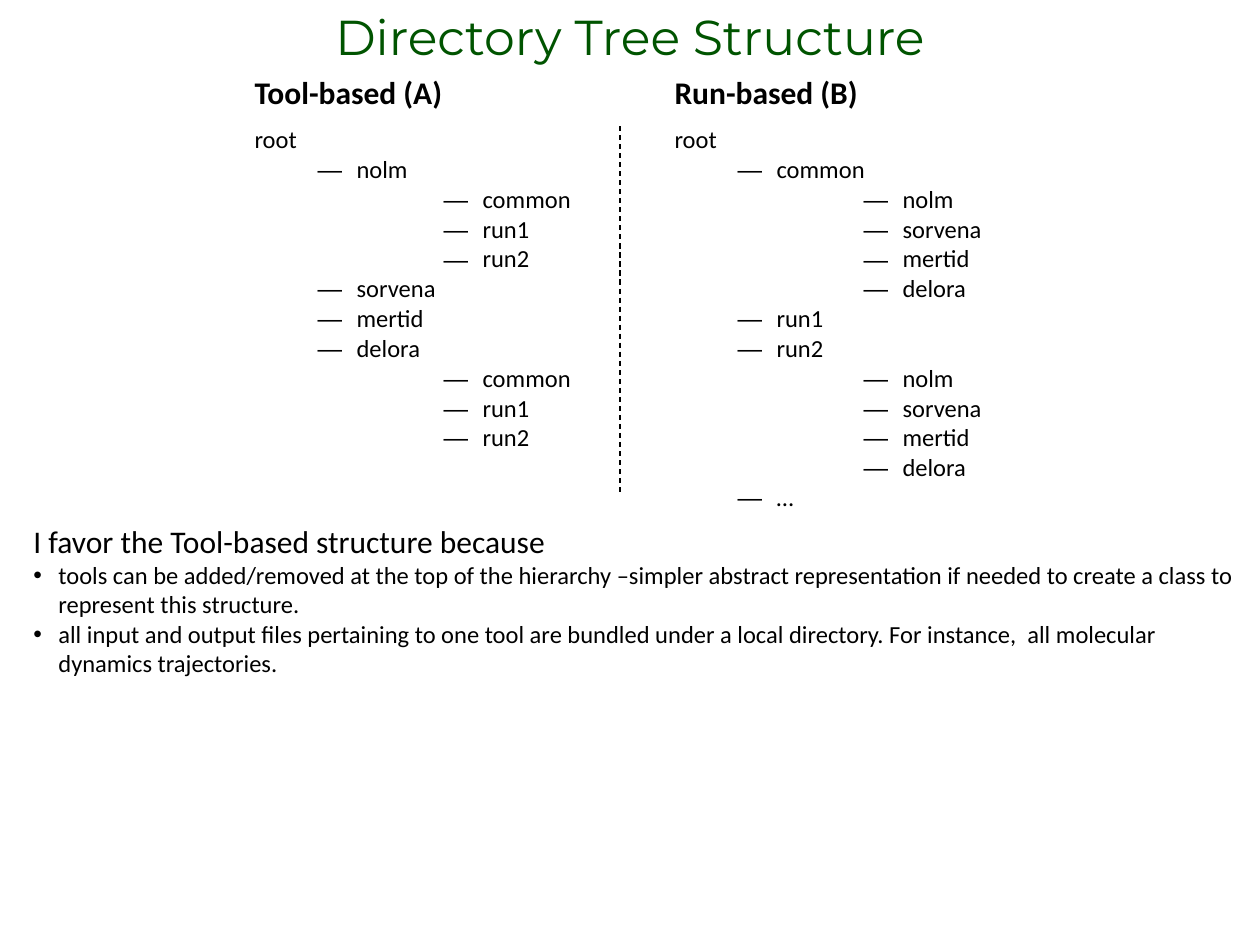
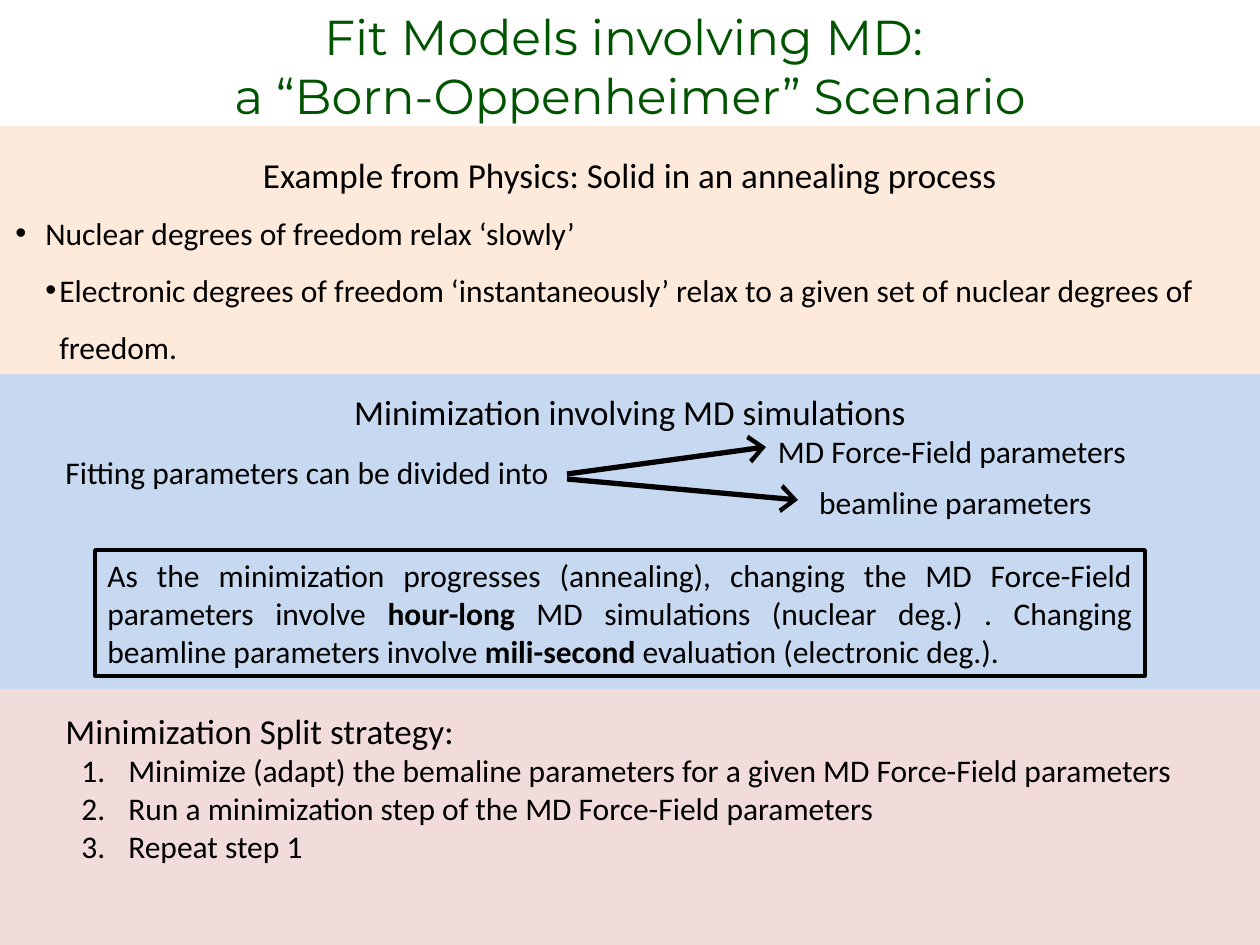
"""Build two slides on directory trees and split minimization of fit models."""
from lxml import etree
from pptx import Presentation
from pptx.dml.color import RGBColor
from pptx.enum.dml import MSO_LINE
from pptx.enum.shapes import MSO_CONNECTOR, MSO_SHAPE
from pptx.enum.text import MSO_ANCHOR, MSO_AUTO_SIZE, PP_ALIGN
from pptx.oxml.ns import qn
from pptx.util import Pt

EMU_PER_PX = 914400 / 126
SLIDE_W, SLIDE_H = 1260, 945
COLORS = {
    "title": "005400",
    "text": "000000",
    "physics": "FDEADA",
    "simulation": "C6D9F1",
    "strategy": "F2DCDB",
}
TITLE_FONT, BODY_FONT = "Montserrat", "Calibri"
TITLE_ONLY = 5
PLAIN_TABLE_STYLE = "{2D5ABB26-0587-4C30-8999-92F81FD0307C}"
LEFT, CENTER, JUSTIFY = PP_ALIGN.LEFT, PP_ALIGN.CENTER, PP_ALIGN.JUSTIFY
TOP, NO_AUTOSIZE = MSO_ANCHOR.TOP, MSO_AUTO_SIZE.NONE
RECTANGLE, STRAIGHT, DASH = MSO_SHAPE.RECTANGLE, MSO_CONNECTOR.STRAIGHT, MSO_LINE.DASH

TOOLS = ["nolm", "sorvena", "mertid", "delora"]
RUNS = ["common", "run1", "run2"]
TOOL_TREE = list(zip(TOOLS, [RUNS, [], [], RUNS]))
RUN_TREE = [("common", TOOLS), ("run1", []), ("run2", TOOLS), ("…", [])]


def px(length):
    """Turn a length in px into EMU."""
    return round(length * EMU_PER_PX)


def rgb(name):
    """Look up a named colour."""
    return RGBColor.from_string(COLORS[name])


def write(frame, text, size=18, font=BODY_FONT, color="text", bold=False,
          align=LEFT, level=0, margin=0, hanging=0, bullet=None, spacing=None):
    """Add a paragraph to a frame; text between ** marks is bold."""
    paragraph = frame.paragraphs[-1]
    if paragraph.runs:
        paragraph = frame.add_paragraph()
    paragraph.alignment = align
    paragraph.level = level
    if spacing:
        paragraph.line_spacing = spacing
    for position, part in enumerate(text.split("**")):
        run = paragraph.add_run()
        run.text = part
        run.font.size = Pt(size)
        run.font.name = font
        run.font.bold = bold or position % 2 == 1
        run.font.color.rgb = rgb(color)
    if bullet:
        properties = paragraph._p.get_or_add_pPr()
        properties.set("marL", str(px(margin)))
        properties.set("indent", str(-px(hanging)))
        if bullet == "1.":
            etree.SubElement(properties, qn("a:buAutoNum"), type="arabicPeriod")
        else:
            etree.SubElement(properties, qn("a:buFont"), typeface="Arial")
            etree.SubElement(properties, qn("a:buChar"), char=bullet)


def add_titled_slide(deck, lines, height):
    """Add a slide with its title across the top."""
    slide = deck.slides.add_slide(deck.slide_layouts[TITLE_ONLY])
    title = slide.shapes.title
    title.left, title.top, title.width, title.height = 0, 0, px(SLIDE_W), px(height)
    frame = title.text_frame
    frame.word_wrap, frame.auto_size, frame.vertical_anchor = True, NO_AUTOSIZE, TOP
    for line in lines:
        write(frame, line, size=28, font=TITLE_FONT, color="title", align=CENTER)
    return slide


def add_text_box(slide, left, top, width, height, wrap=True):
    """Add an empty text box and return its frame."""
    frame = slide.shapes.add_textbox(px(left), px(top), px(width), px(height)).text_frame
    frame.word_wrap = wrap
    return frame


def add_rectangle(slide, left, top, width, height, fill=None, line_width=None):
    """Add a filled or outlined rectangle and return its frame."""
    rectangle = slide.shapes.add_shape(RECTANGLE, px(left), px(top), px(width), px(height))
    rectangle.shadow.inherit = False
    if fill:
        rectangle.fill.solid()
        rectangle.fill.fore_color.rgb = rgb(fill)
    else:
        rectangle.fill.background()
    if line_width:
        rectangle.line.color.rgb = rgb("text")
        rectangle.line.width = Pt(line_width)
    else:
        rectangle.line.fill.background()
    frame = rectangle.text_frame
    frame.word_wrap, frame.vertical_anchor = True, TOP
    return frame


def add_line(slide, start, end, width, dash=None, arrow=False):
    """Add a straight line, dashed or with an arrowhead at its end."""
    connector = slide.shapes.add_connector(STRAIGHT, *map(px, start + end))
    connector.line.color.rgb = rgb("text")
    connector.line.width = Pt(width)
    if dash:
        connector.line.dash_style = dash
    if arrow:
        etree.SubElement(connector.line._get_or_add_ln(), qn("a:tailEnd"),
                         type="arrow", w="lg", len="med")
    etree.SubElement(connector._element.spPr, qn("a:effectLst"))


def add_plain_table(slide, left, top, column_widths, row_heights):
    """Add a table without fills or borders."""
    table = slide.shapes.add_table(
        len(row_heights), len(column_widths), px(left), px(top),
        px(sum(column_widths)), px(sum(row_heights))).table
    table.first_row = table.horz_banding = False
    table._tbl.tblPr.find(qn("a:tableStyleId")).text = PLAIN_TABLE_STYLE
    for column, width in zip(table.columns, column_widths):
        column.width = px(width)
    for row, height in zip(table.rows, row_heights):
        row.height = px(height)
    for cell in table.iter_cells():
        cell.fill.background()
    return table


def write_tree(frame, branches):
    """Write a directory tree of two levels below root."""
    entry = {"size": 14, "hanging": 39, "bullet": "―"}
    write(frame, "root", size=14)
    for branch, leaves in branches:
        write(frame, branch, level=1, margin=102, **entry)
        for leaf in leaves:
            write(frame, leaf, level=3, margin=228, **entry)


def build_directory_slide(deck):
    """Compare the tool-based and run-based directory trees."""
    slide = add_titled_slide(deck, ["Directory Tree Structure"], 72)
    trees = add_plain_table(slide, 242, 68, [420, 420], [51, 389])
    layouts = [("Tool-based (A)", TOOL_TREE), ("Run-based (B)", RUN_TREE)]
    for column, (heading, branches) in enumerate(layouts):
        write(trees.cell(0, column).text_frame, heading, bold=True)
        write_tree(trees.cell(1, column).text_frame, branches)
    add_line(slide, (620, 126), (620, 494), 0.75, dash=DASH)

    preference = add_text_box(slide, 21, 516, 1239, 170)
    write(preference, "I favor the Tool-based structure because")
    for reason in (
        "tools can be added/removed at the top of the hierarchy –simpler abstract "
        "representation if needed to create a class to represent this structure.",
        "all input and output files pertaining to one tool are bundled under a local "
        "directory. For instance,  all molecular dynamics trajectories.",
    ):
        write(preference, reason, size=14, margin=25, hanging=25, bullet="•")


def build_scenario_slide(deck):
    """Show the split of slow and fast parameters in a minimization."""
    slide = add_titled_slide(
        deck, ["Fit Models involving MD: ", "a “Born-Oppenheimer” Scenario"], 131)
    add_rectangle(slide, 0, 683, SLIDE_W, 262, fill="strategy")
    add_rectangle(slide, 0, 374, SLIDE_W, 315, fill="simulation")

    physics = add_rectangle(slide, 0, 126, SLIDE_W, 248, fill="physics")
    write(physics, "Example from Physics: Solid in an annealing process",
          size=20, align=CENTER, spacing=1.5)
    write(physics, "Nuclear degrees of freedom relax ‘slowly’",
          margin=33, hanging=30, bullet="•", spacing=1.5)
    write(physics, "Electronic degrees of freedom ‘instantaneously’ relax to a given set "
          "of nuclear degrees of freedom.", margin=47, hanging=14, bullet="•", spacing=1.5)

    heading = add_text_box(slide, 0, 384, SLIDE_W, 55)
    write(heading, "Minimization involving MD simulations", size=20, align=CENTER)
    kinds = add_plain_table(slide, 651, 427, [609], [51, 51])
    for row, kind in enumerate(["MD Force-Field parameters ", "beamline parameters"]):
        write(kinds.cell(row, 0).text_frame, kind, align=CENTER)
    division = add_text_box(slide, 53, 447, 523, 51, wrap=False)
    write(division, "Fitting parameters can be divided into")
    for start, end in [((567, 474), (766, 447)), ((567, 479), (798, 500))]:
        add_line(slide, start, end, 3, arrow=True)

    timing = add_rectangle(slide, 95, 550, 1050, 126, line_width=2)
    write(timing, "As the minimization progresses (annealing), changing the MD Force-Field "
          "parameters involve **hour-long** MD simulations (nuclear deg.) . Changing "
          "beamline parameters involve **mili-second** evaluation (electronic deg.).",
          align=JUSTIFY)

    strategy = add_text_box(slide, 53, 703, 1207, 170)
    write(strategy, "Minimization Split strategy:", size=20)
    for step in (
        "Minimize (adapt) the bemaline parameters for a given MD Force-Field parameters",
        "Run a minimization step of the MD Force-Field parameters",
        "Repeat step 1",
    ):
        write(strategy, step, margin=63, hanging=47, bullet="1.")


def main():
    """Build and save the deck."""
    deck = Presentation()
    deck.slide_width, deck.slide_height = px(SLIDE_W), px(SLIDE_H)
    build_directory_slide(deck)
    build_scenario_slide(deck)
    deck.save("out.pptx")


if __name__ == "__main__":
    main()
